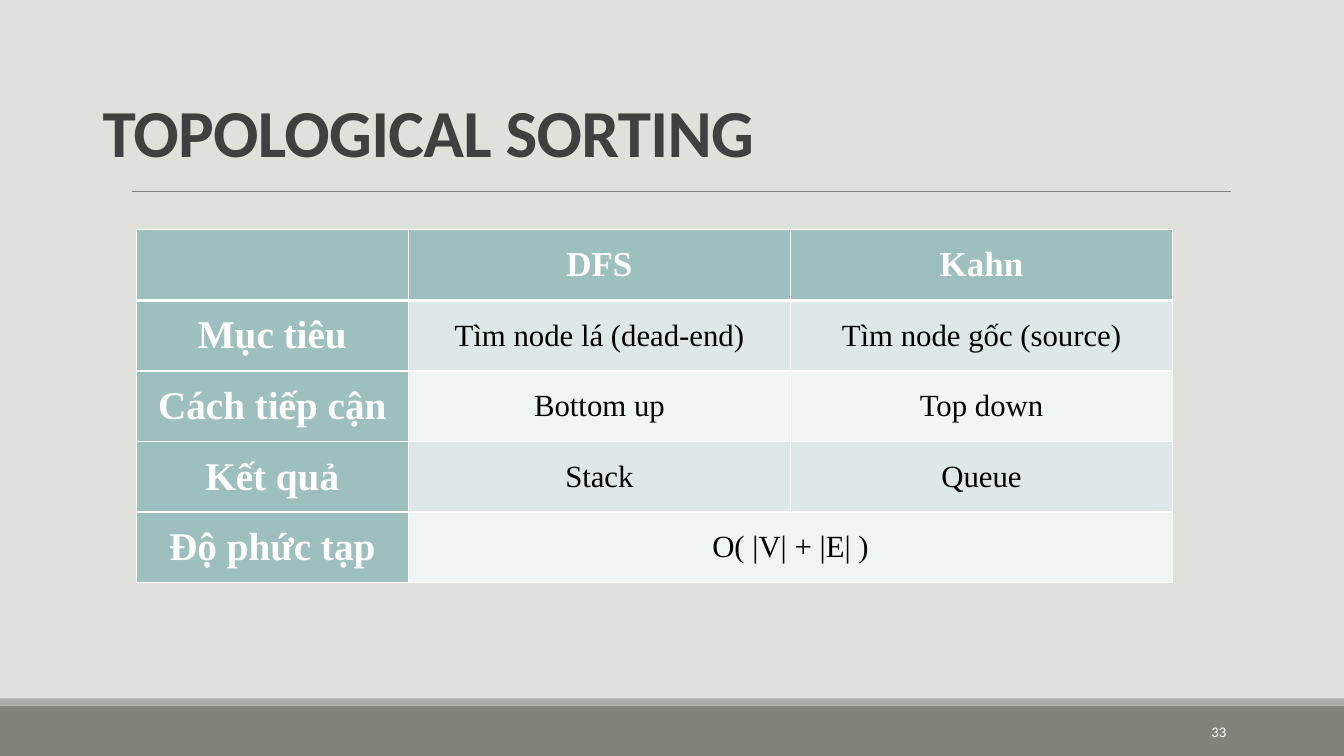
from lxml import etree
from pptx import Presentation
from pptx import util as u
from pptx.dml.color import RGBColor
from pptx.enum import shapes, text
from pptx.oxml.ns import qn


def color(value):
    return RGBColor.from_string(value)


class SlideBuilder:
    heading_font = "Calibri"
    table_font = "Times New Roman"
    white = "FFFFFF"
    header_fill = "9DBFBE"
    band_fills = ("DFE8E8", "EFF4F4")

    def __init__(self, slide, background):
        self.slide = slide
        slide.background.fill.solid()
        slide.background.fill.fore_color.rgb = color(background)

    def style(self, paragraph, font, size, fill, bold, align):
        paragraph.alignment = align
        paragraph.font.name = font
        paragraph.font.size = u.Pt(size)
        paragraph.font.bold = bold
        paragraph.font.color.rgb = color(fill)

    def bar(self, top, height, fill):
        shape = self.slide.shapes.add_shape(
            shapes.MSO_SHAPE.RECTANGLE, 0, u.Inches(top), u.Inches(13.33), u.Inches(height))
        shape.shadow.inherit = False
        shape.fill.solid()
        shape.fill.fore_color.rgb = color(fill)
        shape.line.fill.background()

    def rule(self, left, right, top, fill, width):
        connector = self.slide.shapes.add_connector(
            shapes.MSO_CONNECTOR.STRAIGHT,
            u.Inches(left), u.Inches(top), u.Inches(right), u.Inches(top))
        connector.line.color.rgb = color(fill)
        connector.line.width = u.Pt(width)
        etree.SubElement(connector._element.spPr, qn("a:effectLst"))

    def label(self, box, words, size, fill, anchor, align, bold=False):
        shape = self.slide.shapes.add_textbox(*map(u.Inches, box))
        frame = shape.text_frame
        frame.word_wrap = True
        frame.vertical_anchor = anchor
        paragraph = frame.paragraphs[0]
        paragraph.text = words
        self.style(paragraph, self.heading_font, size, fill, bold, align)
        return paragraph

    def title(self, box, words):
        paragraph = self.label(box, words, 48, "404040", text.MSO_ANCHOR.BOTTOM,
                               text.PP_ALIGN.LEFT, bold=True)
        paragraph.line_spacing = 0.85
        paragraph.runs[0]._r.get_or_add_rPr().set("spc", "-50")

    def borders(self, cell, widths):
        properties = cell._tc.get_or_add_tcPr()
        for index, (side, width) in enumerate(widths.items()):
            line = etree.Element(qn(f"a:ln{side}"), w=str(u.Pt(width)))
            fill = etree.SubElement(line, qn("a:solidFill"))
            etree.SubElement(fill, qn("a:srgbClr"), val=self.white)
            properties.insert(index, line)

    def cell(self, cell, words, row, column):
        header = row == 0 or column == 0
        cell.fill.solid()
        cell.fill.fore_color.rgb = color(
            self.header_fill if header else self.band_fills[(row - 1) % 2])
        cell.vertical_anchor = text.MSO_ANCHOR.MIDDLE
        cell.text = words
        size = 25 if row == 0 else 28 if column == 0 else 22
        self.style(cell.text_frame.paragraphs[0], self.table_font, size,
                   self.white if header else "000000", header, text.PP_ALIGN.CENTER)
        self.borders(cell, {"L": 1, "R": 1, "T": 3 if row == 1 else 1, "B": 3 if row == 0 else 1})

    def table(self, left, top, column_widths, row_height, rows):
        frame = self.slide.shapes.add_table(
            len(rows), len(column_widths), u.Inches(left), u.Inches(top),
            u.Inches(sum(column_widths)), u.Inches(row_height * len(rows)))
        table = frame.table
        table.horz_banding = False
        for column, width in zip(table.columns, column_widths):
            column.width = u.Inches(width)
        for row, entries in enumerate(rows):
            for column, words in enumerate(entries):
                self.cell(table.cell(row, column), words, row, column)
        return table


def main():
    presentation = Presentation()
    presentation.slide_width = u.Inches(13.33)
    presentation.slide_height = u.Inches(7.5)
    builder = SlideBuilder(presentation.slides.add_slide(presentation.slide_layouts[6]), "E1E1DB")
    builder.bar(7, 0.5, "82847C")
    builder.bar(6.93, 0.07, "ACADA8")
    builder.rule(1.31, 12.21, 1.9, "808080", 0.5)
    builder.title((0.92, 0.3, 11.5, 1.45), "TOPOLOGICAL SORTING")
    comparison = builder.table(1.35, 2.28, (2.7, 3.79, 3.79), 0.7, (
        ("", "DFS", "Kahn"),
        ("Mục tiêu", "Tìm node lá (dead-end)", "Tìm node gốc (source)"),
        ("Cách tiếp cận", "Bottom up", "Top down"),
        ("Kết quả", "Stack", "Queue"),
        ("Độ phức tạp", "O( |V| + |E| )", ""),
    ))
    comparison.cell(4, 1).merge(comparison.cell(4, 2))
    builder.label((10.83, 7.06, 1.43, 0.4), "33", 10.5, builder.white,
                  text.MSO_ANCHOR.MIDDLE, text.PP_ALIGN.RIGHT)
    presentation.save("out.pptx")


if __name__ == "__main__":
    main()
